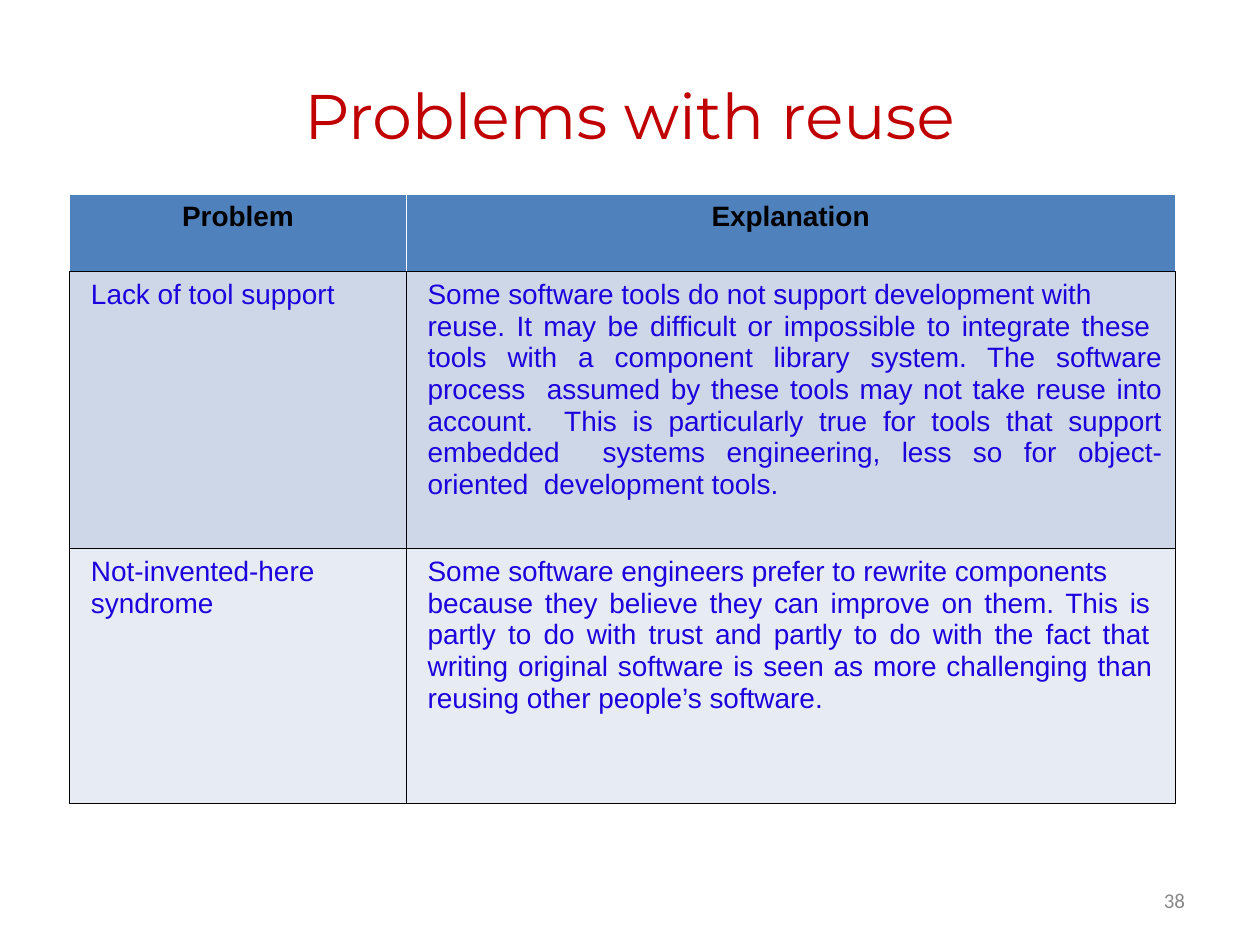
from dataclasses import dataclass, field
from typing import Any

import pptx
import pptx.dml.color
import pptx.enum.text
import pptx.oxml.ns
import pptx.util
from lxml import etree

Pt = pptx.util.Pt
ALIGN = pptx.enum.text.PP_ALIGN

BLACK, WHITE = "000000", "FFFFFF"
BODY_INDENT = 5
FIRST_LINE = {"line_spacing": Pt(18.5)}
JUSTIFIED = {"alignment": ALIGN.JUSTIFY}
HEADER_FONT = {"name": "Arial", "size": Pt(16), "bold": True}
BODY_FONT = {**HEADER_FONT, "bold": False}


@dataclass
class Line:
    text: str
    layout: dict[str, Any] = field(default_factory=dict)


@dataclass
class Row:
    height: float
    fill: str
    cells: list[list[Line]]


def rgb(value: str) -> pptx.dml.color.RGBColor:
    return pptx.dml.color.RGBColor.from_string(value)


def apply_format(target: Any, values: dict[str, Any]) -> None:
    for name, value in values.items():
        setattr(target, name, value)


def write_lines(text_frame: Any, lines: list[Line], font: dict[str, Any],
                color: str, indent: float = 0) -> None:
    for index, line in enumerate(lines):
        paragraph = text_frame.add_paragraph() if index else text_frame.paragraphs[0]
        apply_format(paragraph, line.layout)
        if indent:
            paragraph._p.get_or_add_pPr().set("marL", str(Pt(indent)))
        run = paragraph.add_run()
        run.text = line.text
        apply_format(run.font, font)
        run.font.color.rgb = rgb(color)


def add_text(slide: Any, box: tuple[float, float, float, float], line: Line,
             font: dict[str, Any], color: str) -> None:
    shape = slide.shapes.add_textbox(*map(Pt, box))
    apply_format(shape.text_frame, {
        "word_wrap": True, "margin_left": 0, "margin_top": 0,
        "margin_right": 0, "margin_bottom": 0})
    write_lines(shape.text_frame, [line], font, color)


def set_borders(cell: Any, colors: dict[str, str], width: float = 0.45) -> None:
    properties = cell._tc.get_or_add_tcPr()
    qn = pptx.oxml.ns.qn
    for side in "LRTB":
        border = etree.SubElement(properties, qn(f"a:ln{side}"), w=str(Pt(width)))
        fill = etree.SubElement(border, qn("a:solidFill"))
        etree.SubElement(fill, qn("a:srgbClr"), val=colors.get(side, BLACK))


def add_table(slide: Any, left: float, top: float, widths: list[float],
              rows: list[Row]) -> None:
    height = sum(row.height for row in rows)
    table = slide.shapes.add_table(len(rows), len(widths), Pt(left), Pt(top),
                                   Pt(sum(widths)), Pt(height)).table
    table.horz_banding = False
    for column, width in zip(table.columns, widths):
        column.width = Pt(width)
    for row_index, row in enumerate(rows):
        table.rows[row_index].height = Pt(row.height)
        is_header = row_index == 0
        for column_index, lines in enumerate(row.cells):
            cell = table.cell(row_index, column_index)
            set_borders(cell, dict.fromkeys("LRT", WHITE) if is_header else {})
            cell.fill.solid()
            cell.fill.fore_color.rgb = rgb(row.fill)
            if is_header:
                write_lines(cell.text_frame, lines, HEADER_FONT, BLACK)
            else:
                write_lines(cell.text_frame, lines, BODY_FONT, "1C03DE", BODY_INDENT)


def explanation(opening: str, rest: str) -> list[Line]:
    return [Line(opening, {**JUSTIFIED, **FIRST_LINE}),
            Line(rest, {**JUSTIFIED, "line_spacing": 1.02})]


CENTERED = {"alignment": ALIGN.CENTER}
ROWS = [
    Row(44, "4F81BD", [[Line("Problem", CENTERED)], [Line("Explanation", CENTERED)]]),
    Row(158.4, "CED7E7", [
        [Line("Lack of tool support", FIRST_LINE)],
        explanation(
            "Some software tools do not support development with",
            "reuse. It may be difficult or impossible to integrate these  tools with a "
            "component library system. The software process  assumed by these tools may "
            "not take reuse into account.  This is particularly true for tools that "
            "support embedded  systems engineering, less so for object-oriented  "
            "development tools."),
    ]),
    Row(145.4, "E7ECF4", [
        [Line("Not-invented-here", FIRST_LINE),
         Line("syndrome", {"space_before": Pt(0.3)})],
        explanation(
            "Some software engineers prefer to rewrite components",
            "because they believe they can improve on them. This is  partly to do with "
            "trust and partly to do with the fact that  writing original software is seen "
            "as more challenging than  reusing other people’s software."),
    ]),
]


def main() -> None:
    presentation = pptx.Presentation()
    presentation.slide_width, presentation.slide_height = Pt(720), Pt(540)
    slide = presentation.slides.add_slide(presentation.slide_layouts[6])
    add_text(slide, (157, 43.5, 405.4, 45), Line("Problems with reuse", CENTERED),
             {"name": "Montserrat", "size": Pt(36)}, "C00000")
    add_table(slide, 39.8, 111.2, [192.4, 439.2], ROWS)
    add_text(slide, (665, 509, 18, 12.4), Line("38", {"line_spacing": Pt(12.4)}),
             {"name": "Calibri", "size": Pt(12)}, "888888")
    presentation.save("out.pptx")


if __name__ == "__main__":
    main()
